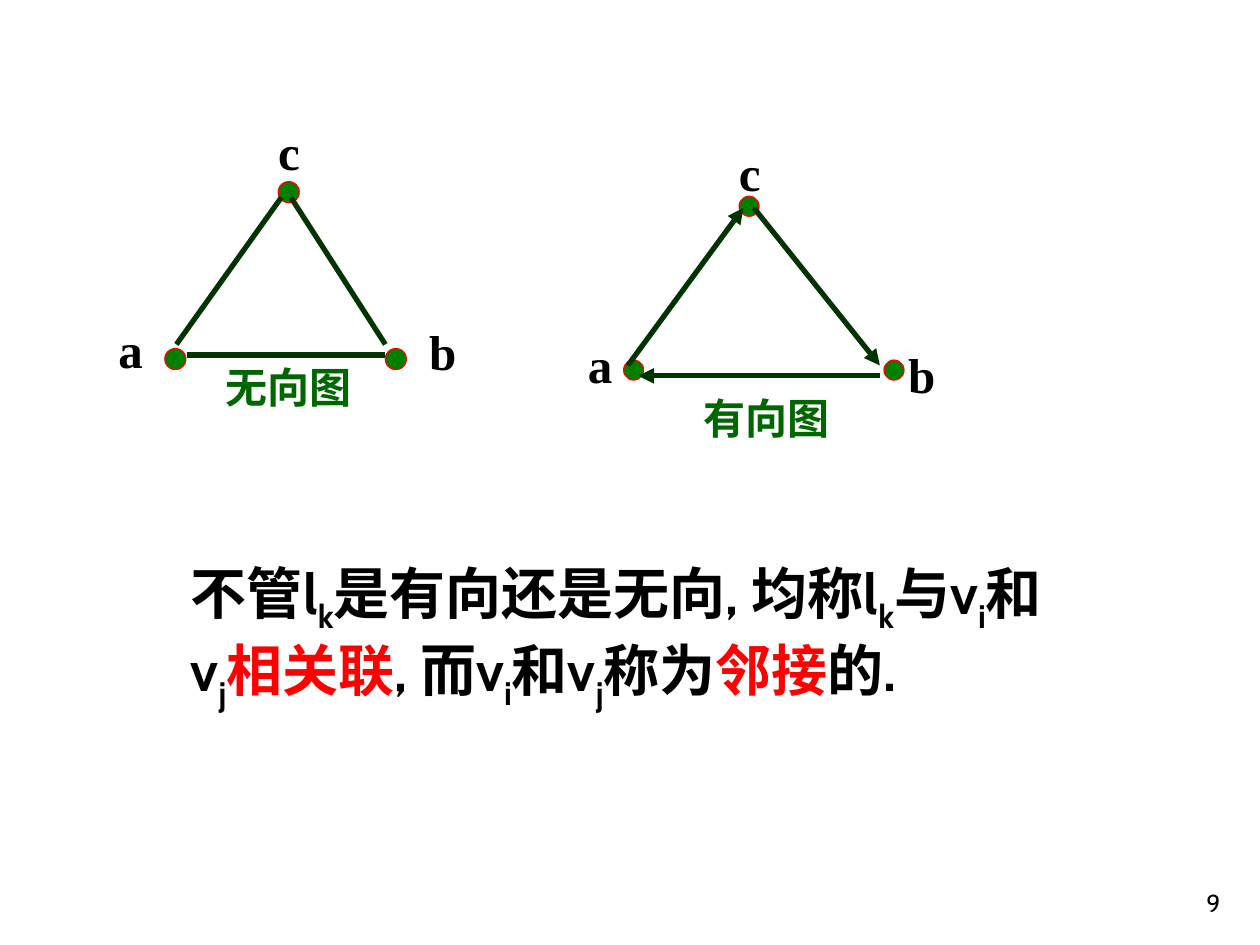
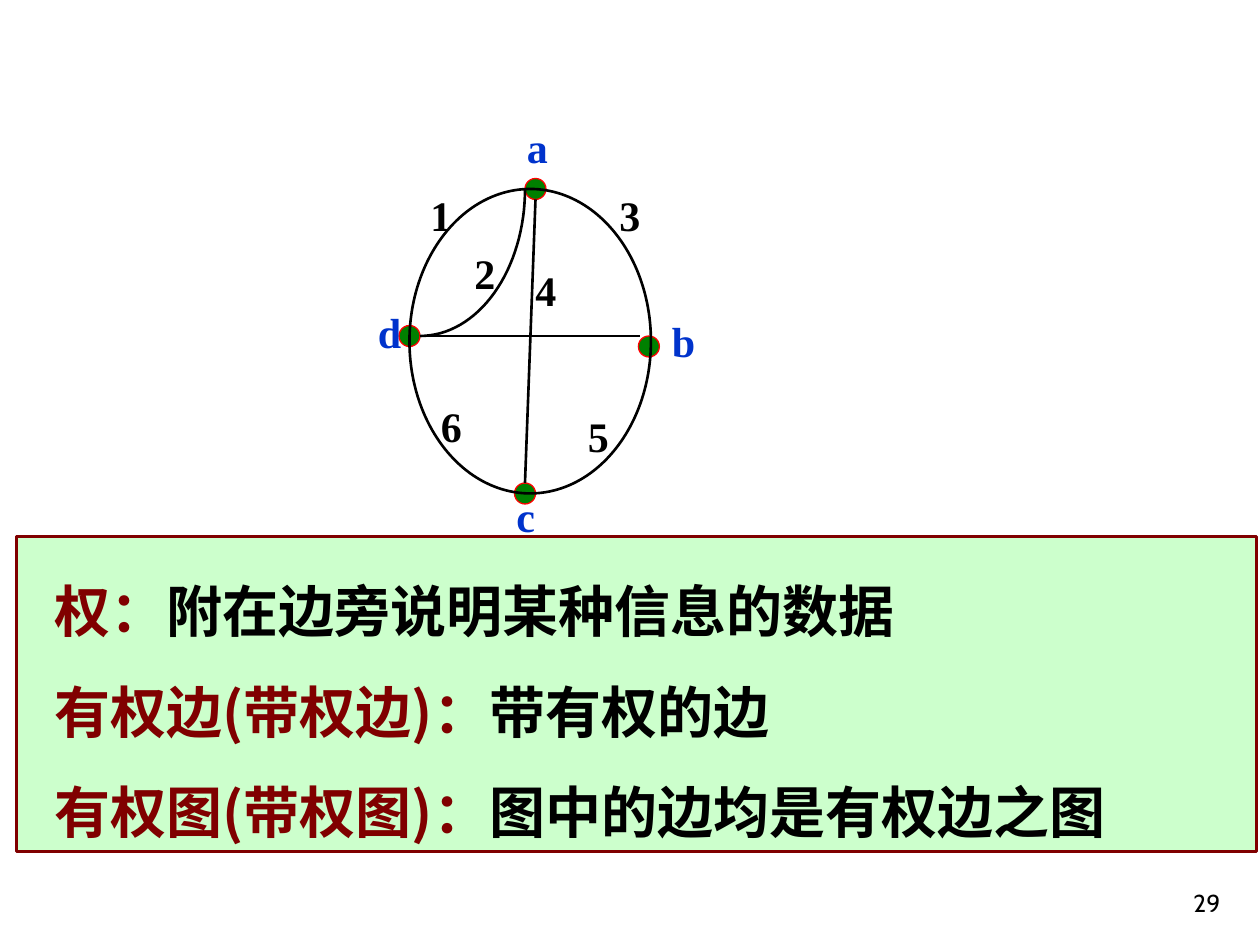
"""Build two slides on graph basics: directed and undirected graphs, and weighted graphs."""
from math import cos, pi, sin

from lxml.etree import SubElement
from pptx import Presentation
from pptx.dml.color import RGBColor
from pptx.enum.shapes import MSO_CONNECTOR, MSO_SHAPE
from pptx.enum.text import MSO_ANCHOR, PP_ALIGN
from pptx.oxml.ns import qn
from pptx.util import Inches, Pt

COLORS = {
    "ink": "000000", "dot": "008000", "rim": "FF0000", "edge": "003300",
    "caption": "006600", "label": "0033CC", "term": "800000", "panel": "CCFFCC",
}
CJK_FONT = "Noto Sans CJK SC"
SERIF = {"name": "Times New Roman", "bold": True}
CAPTION = {"name": "Cabin", "size": Pt(24), "bold": True, "color": "caption"}
BODY = {"name": "Cabin", "size": Pt(32), "bold": True}
DEFINITION = {"name": CJK_FONT, "size": Pt(32), "bold": True}
NUMBER = {"name": "Cabin", "size": Pt(14), "bold": False}

deck = Presentation()
deck.slide_width, deck.slide_height = Inches(10), Inches(7.5)
COLUMNS, ROWS = 120, 90
COLUMN, ROW = deck.slide_width / COLUMNS, deck.slide_height / ROWS


def paint(shape, fill, line, width):
    """Give a shape or connector its fill, line and no shadow."""
    if fill:
        shape.fill.solid()
        shape.fill.fore_color.rgb = RGBColor.from_string(COLORS[fill])
    elif hasattr(shape, "fill"):
        shape.fill.background()
    shape.line.color.rgb = RGBColor.from_string(COLORS[line])
    shape.line.width = Pt(width)
    if hasattr(shape, "shadow"):
        shape.shadow.inherit = False


def write(frame, paragraphs, font, wrap=True, **layout):
    """Fill a text frame with paragraphs made of (text, changes) pairs."""
    frame.word_wrap = wrap
    frame.vertical_anchor = layout.pop("anchor", MSO_ANCHOR.TOP)
    for index, spans in enumerate(paragraphs):
        para = frame.add_paragraph() if index else frame.paragraphs[0]
        for key, value in {"alignment": PP_ALIGN.LEFT, **layout}.items():
            setattr(para, key, value)
        for text, changes in spans:
            span = para.add_run()
            span.text = text
            look = {"color": "ink", **font, **changes}
            span.font.color.rgb = RGBColor.from_string(COLORS[look.pop("color")])
            baseline = look.pop("baseline", None)
            for key, value in look.items():
                setattr(span.font, key, value)
            properties = span._r.get_or_add_rPr()
            SubElement(properties, qn("a:ea")).set("typeface", CJK_FONT)
            if baseline:
                properties.set("baseline", baseline)


UNDIRECTED = {
    "labels": [("c", 25.3, 11), ("a", 10.1, 29.8), ("b", 39.7, 30)],
    "dots": [(36.7, 33.2), (15.7, 33.2), (26.5, 17.3)],
    "dot size": 2,
    "edges": [(16.8, 32.8, 26.8, 18.8), (27.7, 18.8, 36.7, 32.8), (17.8, 33.8, 36.7, 33.8)],
    "edge color": "edge", "edge width": 3, "label color": "ink", "label size": 28,
}
DIRECTED = {
    **UNDIRECTED,
    "labels": [("c", 69.2, 13), ("a", 54.8, 31.3), ("b", 85.3, 32.2)],
    "dots": [(84.2, 34.3), (59.4, 34.3), (70.4, 18.7)],
    "dot size": 1.9,
    "edges": [(59.8, 34.8, 70.8, 19.8), (71.8, 19.8, 83.8, 34.8), (83.8, 35.8, 60.8, 35.8)],
    "arrows": True,
}
WEIGHTED = {
    "labels": [("a", 49, 11), ("b", 62.8, 29.5), ("c", 48, 46.1), ("d", 34.8, 28.6)],
    "weights": [("1", 39.8, 17.5), ("2", 44, 23), ("6", 40.8, 37.6),
                ("5", 54.8, 38.5), ("4", 49.8, 24.6), ("3", 57.8, 17.5)],
    "dots": [(60.8, 32), (38, 31), (50, 17), (49, 46)],
    "dot size": 2,
    "edges": [(40, 32, 61, 32), (51, 19, 50, 46)],
    "edge color": "ink", "edge width": 1.5, "label color": "label", "label size": 24,
    "ring": (39, 18, 23, 29), "arc": (40, 18, 10, 14),
}

PLAIN, RED, TERM = {}, {"color": "rim"}, {"color": "term"}
SUB = {"baseline": "-25000"}
relation = [
    ("不管l", PLAIN), ("k", SUB), ("是有向还是无向, 均称l", PLAIN), ("k", SUB),
    ("与v", PLAIN), ("i", SUB), ("和v", PLAIN), ("j", SUB), ("相关联", RED),
    (", 而v", PLAIN), ("i", SUB), ("和v", PLAIN), ("j", SUB), ("称为", PLAIN),
    ("邻接", RED), ("的.", PLAIN),
]
definitions = [
    [("权：", TERM), ("附在边旁说明某种信息的数据", PLAIN)],
    [("有权边(带权边)：", TERM), ("带有权的边", PLAIN)],
    [("有权图(带权图)：", TERM), ("图中的边均是有权边之图", PLAIN)],
]
slides = [
    {"number": "9", "graphs": [UNDIRECTED, DIRECTED], "texts": [
        ("无向图", CAPTION, (20.3, 33.8, 26.8, 6)),
        ("有向图", CAPTION, (65.8, 36.8, 24.2, 6)),
        (relation, BODY, (17, 52.6, 85.6, 22.2))]},
    {"number": "29", "graphs": [WEIGHTED], "texts": [], "panel": (1.6, 51.1, 118.1, 30)},
]

for content in slides:
    page = deck.slides.add_slide(deck.slide_layouts[6])
    for graph in content["graphs"]:
        side = graph["dot size"]
        for left, top in graph["dots"]:
            dot = page.shapes.add_shape(
                MSO_SHAPE.OVAL, left * COLUMN, top * ROW, side * COLUMN, side * ROW)
            paint(dot, "dot", "rim", 0.75)

        if "ring" in graph:
            left, top, width, height = graph["ring"]
            ring = page.shapes.add_shape(
                MSO_SHAPE.OVAL, left * COLUMN, top * ROW, width * COLUMN, height * ROW)
            paint(ring, None, "ink", 1.5)
            center, middle, across, down = graph["arc"]
            steps = 32
            angles = [pi / 2 * step / steps for step in range(steps + 1)]
            points = [((center + across * sin(angle)) * COLUMN,
                       (middle + down * cos(angle)) * ROW) for angle in angles]
            builder = page.shapes.build_freeform(*points[0])
            builder.add_line_segments(points[1:], close=False)
            paint(builder.convert_to_shape(), None, "ink", 1.5)

        for x1, y1, x2, y2 in graph["edges"]:
            edge = page.shapes.add_connector(
                MSO_CONNECTOR.STRAIGHT, x1 * COLUMN, y1 * ROW, x2 * COLUMN, y2 * ROW)
            paint(edge, None, graph["edge color"], graph["edge width"])
            SubElement(edge._element.spPr, qn("a:effectLst"))
            if graph.get("arrows"):
                SubElement(edge.line._get_or_add_ln(), qn("a:tailEnd")).set("type", "triangle")

        size = graph["label size"]
        for group, color in (("labels", graph["label color"]), ("weights", "ink")):
            for text, left, top in graph.get(group, []):
                box = page.shapes.add_textbox(
                    left * COLUMN, top * ROW, 4.4 * COLUMN, size / 4 * ROW)
                look = {**SERIF, "size": Pt(size), "color": color}
                write(box.text_frame, [[(text, PLAIN)]], look, wrap=False)

    for text, font, (left, top, width, height) in content["texts"]:
        box = page.shapes.add_textbox(left * COLUMN, top * ROW, width * COLUMN, height * ROW)
        spans = [(text, PLAIN)] if isinstance(text, str) else text
        write(box.text_frame, [spans], font)

    if "panel" in content:
        left, top, width, height = content["panel"]
        panel = page.shapes.add_shape(
            MSO_SHAPE.RECTANGLE, left * COLUMN, top * ROW, width * COLUMN, height * ROW)
        paint(panel, "panel", "term", 1.5)
        write(panel.text_frame, definitions, DEFINITION, line_spacing=1.5)
        for para in panel.text_frame.paragraphs:
            properties = para._p.get_or_add_pPr()
            properties.set("marL", str(Inches(0.2)))
            properties.set("indent", "0")

    footer = page.shapes.add_textbox(92.4 * COLUMN, 82 * ROW, 25 * COLUMN, 6 * ROW)
    write(footer.text_frame, [[(content["number"], PLAIN)]], NUMBER,
          anchor=MSO_ANCHOR.BOTTOM, alignment=PP_ALIGN.RIGHT)

deck.save("out.pptx")
